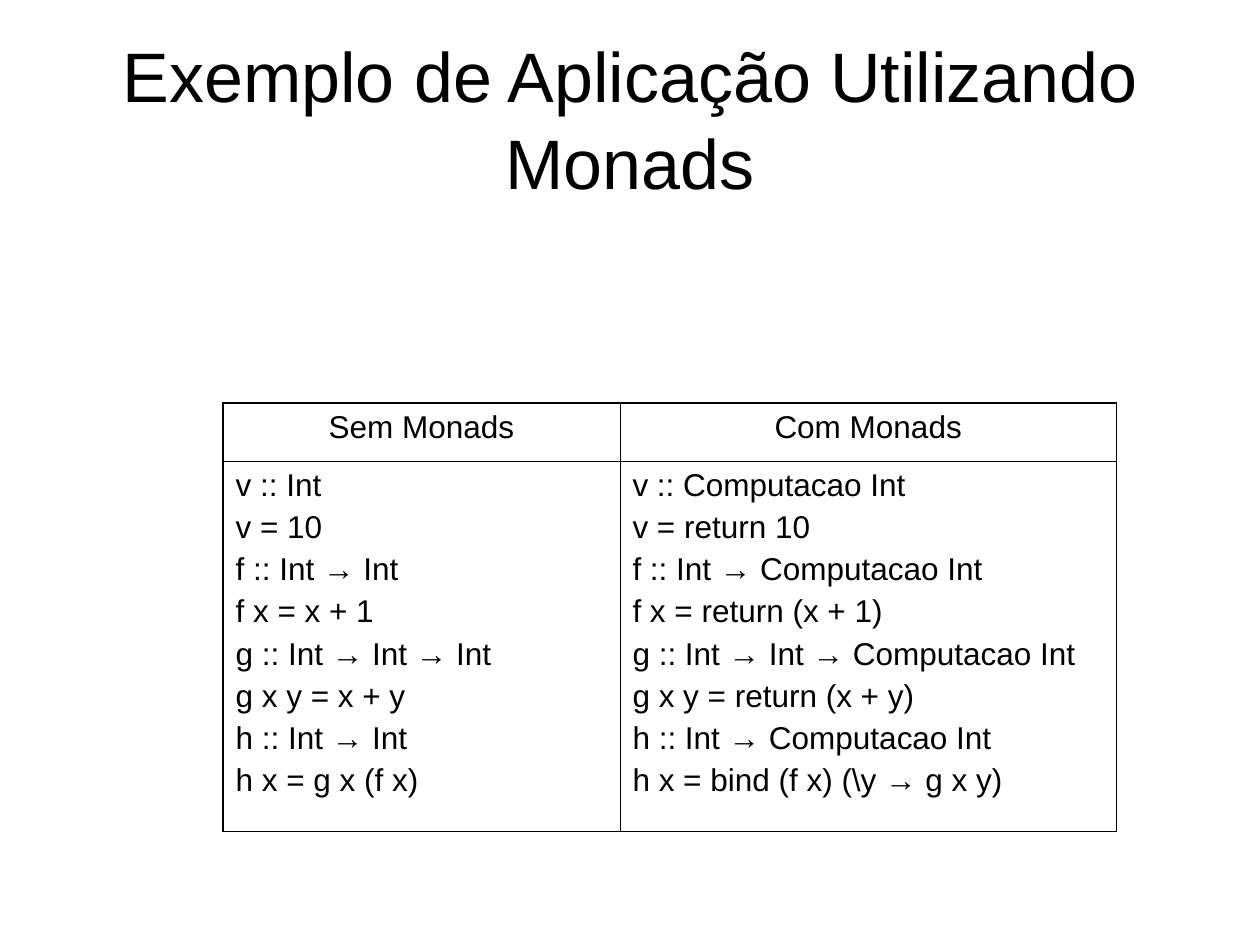
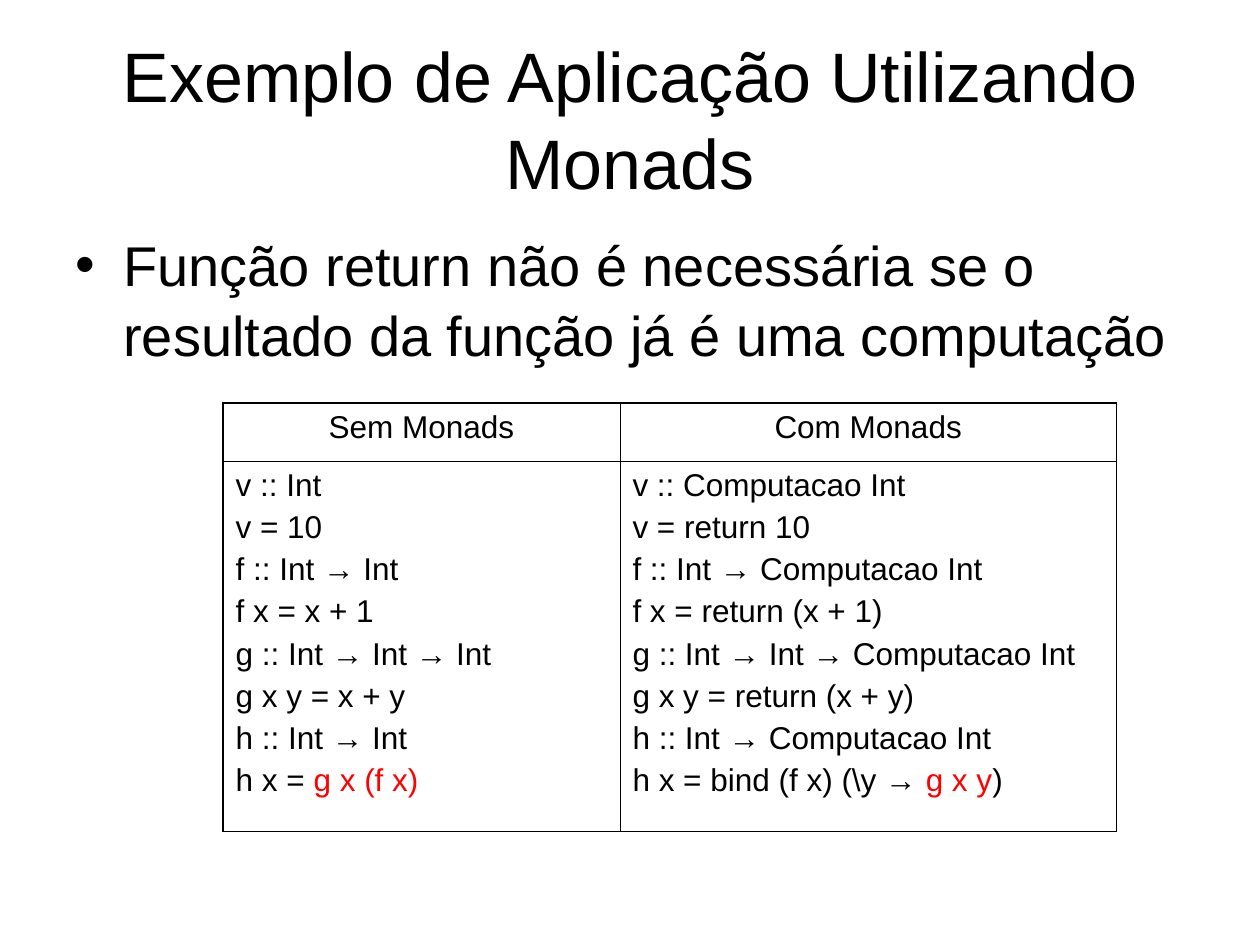
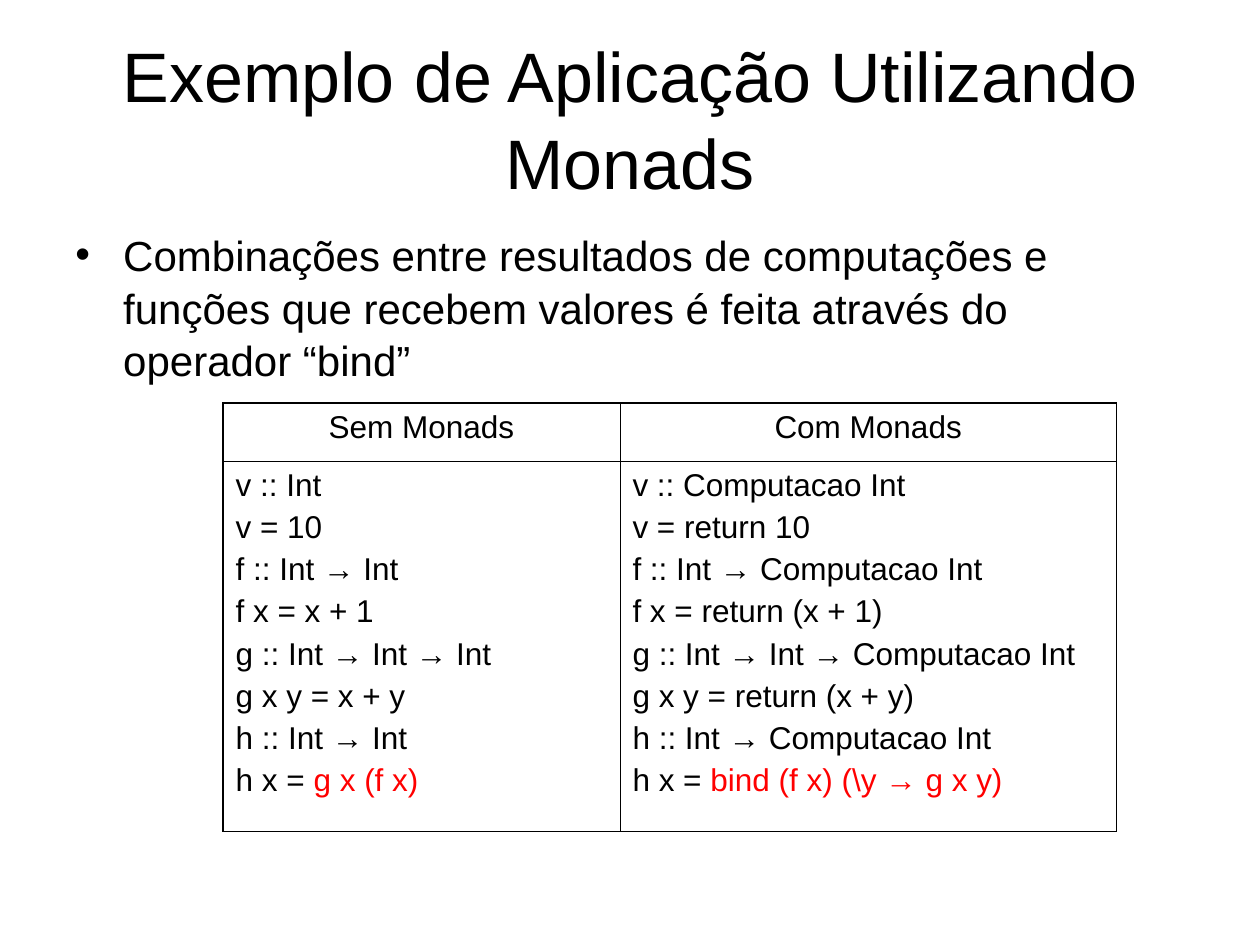
from lxml.etree import SubElement
from pptx import Presentation
from pptx.dml.color import RGBColor
from pptx.enum.text import MSO_ANCHOR, PP_ALIGN
from pptx.oxml.ns import qn
from pptx.util import Inches, Pt

BLACK = RGBColor(0, 0, 0)
RED = RGBColor(255, 0, 0)
FONT = "Arial"
TITLE = "Exemplo de Aplicação Utilizando Monads"
HEADERS = ("Sem Monads", "Com Monads")
COL_WIDTHS = (3.15, 3.94)
ROW_HEIGHTS = (0.46, 2.94)
OUTER, INNER = Pt(1.08), Pt(0.45)

PLAIN_CODE = [
    "v :: Int",
    "v = 10",
    "f :: Int → Int",
    "f x = x + 1",
    "g :: Int → Int → Int",
    "g x y = x + y",
    "h :: Int → Int",
]
MONAD_CODE = [
    "v :: Computacao Int",
    "v = return 10",
    "f :: Int → Computacao Int",
    "f x = return (x + 1)",
    "g :: Int → Int → Computacao Int",
    "g x y = return (x + y)",
    "h :: Int → Computacao Int",
]
PLAIN_MARKED = [("h x = ", BLACK), ("g x (f x)", RED)]


def write(tf, lines, size=18, align=PP_ALIGN.LEFT, before=0, spacing=None, bullet=False):
    tf.word_wrap = True
    for i, line in enumerate(lines):
        p = tf.add_paragraph() if i else tf.paragraphs[0]
        p.alignment = align
        if i:
            p.space_before = Pt(before)
        if spacing:
            p.line_spacing = spacing
        if bullet:
            add_bullet(p)
        runs = [(line, BLACK)] if isinstance(line, str) else line
        for text, color in runs:
            r = p.add_run()
            r.text = text
            r.font.name = FONT
            r.font.size = Pt(size)
            r.font.color.rgb = color


def add_bullet(p):
    pPr = p._p.get_or_add_pPr()
    pPr.set("marL", str(Inches(0.38)))
    pPr.set("indent", str(Inches(-0.38)))
    SubElement(pPr, qn("a:buFont"), typeface=FONT)
    SubElement(pPr, qn("a:buChar"), char="•")


def add_text(s, top, height, text, anchor=MSO_ANCHOR.TOP, **fmt):
    sp = s.shapes.add_textbox(Inches(0.5), Inches(top), Inches(9), Inches(height))
    sp.text_frame.vertical_anchor = anchor
    write(sp.text_frame, [text], **fmt)


def add_title(s):
    add_text(s, 0.3, 1.25, TITLE, anchor=MSO_ANCHOR.MIDDLE, size=40,
             align=PP_ALIGN.CENTER, spacing=1.04)


def set_borders(cell, row, col):
    tcPr = cell._tc.get_or_add_tcPr()
    outer_sides = {"L": col == 0, "R": col == 1, "T": row == 0, "B": row == 1}
    for side, is_outer in outer_sides.items():
        ln = SubElement(tcPr, qn(f"a:ln{side}"), w=str(OUTER if is_outer else INNER))
        fill = SubElement(ln, qn("a:solidFill"))
        SubElement(fill, qn("a:srgbClr"), val=str(BLACK))


def add_code_table(s, plain_end, monad_end):
    frame = s.shapes.add_table(2, 2, Inches(1.77), Inches(3.2),
                               Inches(sum(COL_WIDTHS)), Inches(sum(ROW_HEIGHTS)))
    table = frame.table
    table.first_row = table.horz_banding = False
    for i in range(2):
        table.columns[i].width = Inches(COL_WIDTHS[i])
        table.rows[i].height = Inches(ROW_HEIGHTS[i])
    code = (PLAIN_CODE + [plain_end], MONAD_CODE + [monad_end])
    for col in range(2):
        write(table.cell(0, col).text_frame, [HEADERS[col]], align=PP_ALIGN.CENTER)
        write(table.cell(1, col).text_frame, code[col], before=4)
        for row in range(2):
            cell = table.cell(row, col)
            set_borders(cell, row, col)
            cell.fill.background()


def add_slide(prs, plain_end, monad_end, note=None, note_size=32):
    s = prs.slides.add_slide(prs.slide_layouts[6])
    add_title(s)
    if note:
        add_text(s, 1.75, 4.95, note, size=note_size, spacing=1.05, bullet=True)
    add_code_table(s, plain_end, monad_end)


def main():
    prs = Presentation()
    prs.slide_width, prs.slide_height = Inches(10), Inches(7.5)
    add_slide(prs, "h x = g x (f x)", "h x = bind (f x) (\\y → g x y)")
    add_slide(prs, PLAIN_MARKED,
              [("h x = bind (f x) (\\y → ", BLACK), ("g x y", RED), (")", BLACK)],
              note="Função return não é necessária se o resultado da função já é uma computação")
    add_slide(prs, PLAIN_MARKED,
              [("h x = ", BLACK), ("bind (f x) (\\y → g x y)", RED)],
              note="Combinações entre resultados de computações e funções que recebem "
                   "valores é feita através do operador “bind”",
              note_size=24)
    prs.save("out.pptx")


if __name__ == "__main__":
    main()
